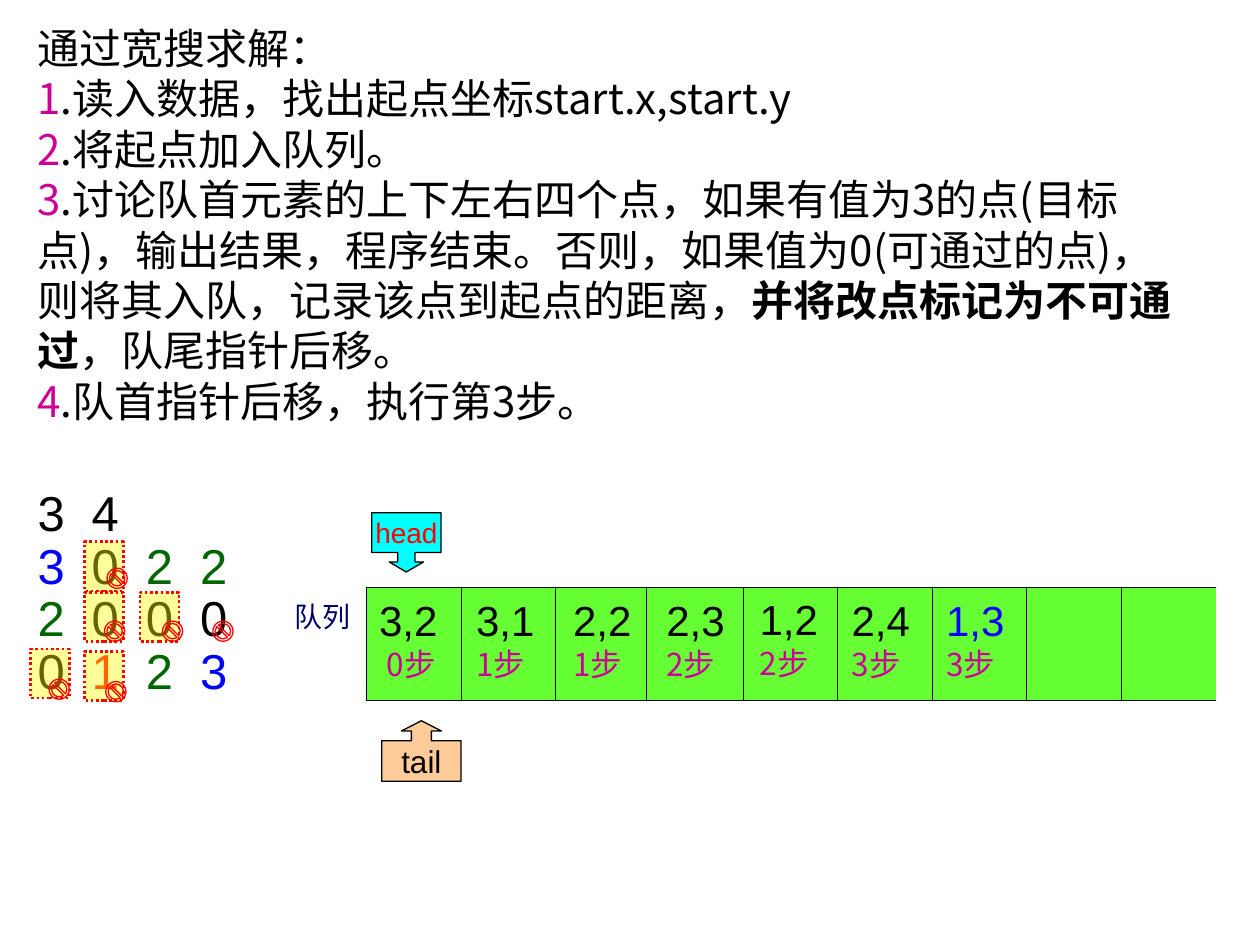
"""Build a slide on solving a maze by breadth-first search with a queue."""
import lxml.etree
import pptx
import pptx.dml.color
import pptx.enum.dml
import pptx.enum.shapes
import pptx.enum.text
import pptx.oxml
import pptx.oxml.ns
import pptx.util

Inches, Pt = pptx.util.Inches, pptx.util.Pt
Shape = pptx.enum.shapes.MSO_SHAPE
qn = pptx.oxml.ns.qn

CJK, SANS = "Noto Sans CJK SC", "Arial"
BLACK, BLUE, GREEN, RED, PINK = "000000", "0000FF", "006600", "FF0000", "CC0099"

STEPS = [
    [("通过宽搜求解：", BLACK)],
    [("1", PINK), (".读入数据，找出起点坐标start.x,start.y", BLACK)],
    [("2", PINK), (".将起点加入队列。", BLACK)],
    [("3", PINK),
     (".讨论队首元素的上下左右四个点，如果有值为3的点(目标点)，输出结果，程序结束。"
      "否则，如果值为0(可通过的点)，则将其入队，记录该点到起点的距离，", BLACK),
     ("并将改点标记为不可通过", BLACK, True), ("，队尾指针后移。", BLACK)],
    [("4", PINK), (".队首指针后移，执行第3步。", BLACK)],
]
MAZE = [
    [("3", BLACK), ("4", BLACK)],
    [("3", BLUE), ("0", BLACK), ("2", GREEN), ("2", GREEN)],
    [("2", GREEN), ("0", BLACK), ("0", BLACK), ("0", BLACK)],
    [("0", BLACK), ("1", RED), ("2", GREEN), ("3", BLUE)],
]
MAZE_STEP = 0.43
WIDTHS = [0.75, 0.75, 0.72, 0.77] + [0.75] * 5
QUEUE = [
    ("3,2", "0步", BLACK, 2.91, 4.67, 0.75),
    ("3,1", "1步", BLACK, 3.68, 4.67, 0.71),
    ("2,2", "1步", BLACK, 4.45, 4.67, 0.85),
    ("2,3", "2步", BLACK, 5.19, 4.67, 0.85),
    ("1,2", "2步", BLACK, 5.93, 4.66, 0.85),
    ("2,4", "3步", BLACK, 6.66, 4.67, 0.85),
    ("1,3", "3步", BLUE, 7.41, 4.67, 0.85),
]
POINTERS = [
    ("tail", Shape.UP_ARROW_CALLOUT, (3.03, 5.72, 0.63, 0.48), 0.33, "FFCC99", BLACK, 18),
    ("head", Shape.DOWN_ARROW_CALLOUT, (2.95, 4.07, 0.55, 0.47), 0.29, "00FFFF", RED, 16),
]
SEEN = [(0.67, 5.17), (0.24, 5.15), (0.67, 4.7), (1.11, 4.7), (0.67, 4.3)]
BANS = [(0.84, 5.41), (0.39, 5.39), (0.83, 4.93), (1.29, 4.93), (0.85, 4.51), (1.69, 4.93)]


def rgb(code):
    return pptx.dml.color.RGBColor.from_string(code)


def write(para, parts, size, face):
    for text, color, *bold in parts:
        run = para.add_run()
        run.text = text
        font = run.font
        font.size, font.name, font.bold = Pt(size), face, bool(bold)
        font.color.rgb = rgb(color)
        east = lxml.etree.SubElement(run._r.get_or_add_rPr(), qn("a:ea"))
        east.set("typeface", CJK)


def add_text(slide, area, lines):
    """Add a wrapped box from (parts, size, face) lines and return its paragraphs."""
    frame = slide.shapes.add_textbox(*map(Inches, area)).text_frame
    frame.word_wrap = True
    frame.auto_size = pptx.enum.text.MSO_AUTO_SIZE.SHAPE_TO_FIT_TEXT
    for i, line in enumerate(lines):
        write(frame.add_paragraph() if i else frame.paragraphs[0], *line)
    return frame.paragraphs


def add_shape(slide, kind, area, line, width, fill=None):
    shape = slide.shapes.add_shape(kind, *map(Inches, area))
    shape.shadow.inherit = False
    shape.line.color.rgb = rgb(line)
    shape.line.width = Pt(width)
    if fill:
        shape.fill.solid()
        shape.fill.fore_color.rgb = rgb(fill)
    else:
        shape.fill.background()
    return shape


def add_maze(slide):
    lines = []
    for row in MAZE:
        last = len(row) - 1
        parts = [(n + "\t" * (i < last), color) for i, (n, color) in enumerate(row)]
        lines.append((parts, 28, SANS))
    for para in add_text(slide, (0.2, 3.83, 2.04, 2.2), lines):
        stops = lxml.etree.SubElement(para._p.get_or_add_pPr(), qn("a:tabLst"))
        for i in range(1, 4):
            stop = lxml.etree.SubElement(stops, qn("a:tab"))
            stop.set("pos", str(Inches(MAZE_STEP * i)))
            stop.set("algn", "l")
        para.line_spacing = 0.9


def add_edge(cell, side, shown):
    edge = lxml.etree.SubElement(cell._tc.get_or_add_tcPr(), qn("a:ln" + side))
    if shown:
        edge.set("w", str(Pt(0.75)))
        fill = lxml.etree.SubElement(edge, qn("a:solidFill"))
        lxml.etree.SubElement(fill, qn("a:srgbClr")).set("val", BLACK)
    else:
        lxml.etree.SubElement(edge, qn("a:noFill"))


def add_queue(slide):
    area = map(Inches, (2.91, 4.66, sum(WIDTHS), 0.9))
    table = slide.shapes.add_table(1, len(WIDTHS), *area).table
    table.first_row = table.horz_banding = False
    for i, width in enumerate(WIDTHS):
        table.columns[i].width = Inches(width)
        cell = table.cell(0, i)
        for side in "LRTB":
            add_edge(cell, side, side != "R" or i < len(WIDTHS) - 1)
        cell.fill.solid()
        cell.fill.fore_color.rgb = rgb("66FF33")
    add_text(slide, (2.24, 4.71, 0.71, 0.37), [([("队列", "000066")], 16, SANS)])
    for i, (point, count, color, left, top, width) in enumerate(QUEUE):
        lines = [([(point, color)], 24, SANS), ([(count, PINK)], 18, CJK)]
        paras = add_text(slide, (left, top, width, 0.8), lines)
        if i == 0:
            paras[1]._p.get_or_add_pPr().set("marL", str(Inches(0.06)))


def add_pointer(slide, label, kind, area, head, fill, color, size):
    shape = add_shape(slide, kind, area, BLACK, 0.75, fill)
    for i, value in enumerate((head, head, 0.17, 0.67)):
        shape.adjustments[i] = value
    frame = shape.text_frame
    frame.word_wrap = False
    frame.vertical_anchor = pptx.enum.text.MSO_ANCHOR.MIDDLE
    frame.paragraphs[0].alignment = pptx.enum.text.PP_ALIGN.CENTER
    write(frame.paragraphs[0], [(label, color)], size, SANS)


def add_marks(slide):
    for spot in SEEN:
        box = add_shape(slide, Shape.RECTANGLE, (*spot, 0.31, 0.39), RED, 1.5, "FFFF00")
        box.line.dash_style = pptx.enum.dml.MSO_LINE.ROUND_DOT
        tint = box._element.spPr.find(qn("a:solidFill")).find(qn("a:srgbClr"))
        lxml.etree.SubElement(tint, qn("a:alpha")).set("val", "40000")
    for spot in BANS:
        ban = add_shape(slide, Shape.NO_SYMBOL, (*spot, 0.16, 0.16), RED, 0.75)
        ban.adjustments[0] = 0.12


def main():
    deck = pptx.Presentation()
    deck.slide_width, deck.slide_height = Inches(10), Inches(7.5)
    slide = deck.slides.add_slide(deck.slide_layouts[6])
    add_text(slide, (0.2, 0.13, 9.22, 3.3), [(parts, 24, CJK) for parts in STEPS])
    add_maze(slide)
    add_queue(slide)
    for pointer in POINTERS:
        add_pointer(slide, *pointer)
    add_marks(slide)
    deck.save("out.pptx")


if __name__ == "__main__":
    main()
